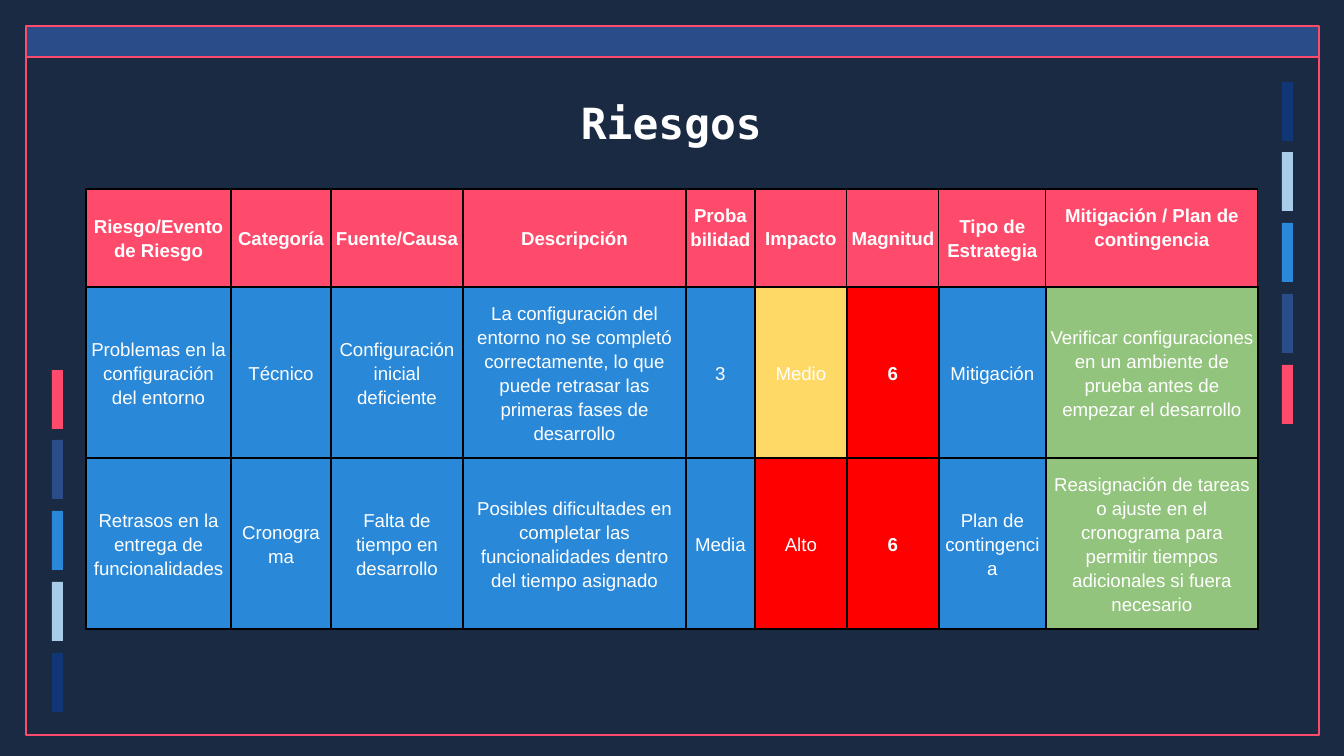
from dataclasses import dataclass
from typing import NamedTuple

from lxml import etree
from pptx import Presentation
from pptx.dml.color import RGBColor
from pptx.enum.shapes import MSO_SHAPE
from pptx.enum.text import MSO_ANCHOR, PP_ALIGN
from pptx.oxml.ns import qn
from pptx.util import Pt

RECT = MSO_SHAPE.RECTANGLE
MIDDLE = MSO_ANCHOR.MIDDLE
CENTER = PP_ALIGN.CENTER
TITLE_ONLY = 5
SCALE = 914400 / 134.4  # EMU per px


@dataclass(frozen=True)
class Theme:
    night: str = "1A2A42"
    navy: str = "103675"
    royal: str = "2A4C89"
    blue: str = "2A88D8"
    pale: str = "A9CCEA"
    pink: str = "FE4A6B"
    white: str = "FFFFFF"
    black: str = "000000"
    amber: str = "FFD966"
    red: str = "FF0000"
    green: str = "93C47D"
    mono: str = "DejaVu Sans Mono"
    sans: str = "Arial"
    head: float = 23
    body: float = 10
    line: float = 0.75
    thin: float = 0.83
    thick: float = 1.13


class Box(NamedTuple):
    left: int
    top: int
    width: int
    height: int


class Stack(NamedTuple):
    left: int
    top: int
    fills: tuple


class Cell(NamedTuple):
    text: str
    fill: str
    bold: bool = False
    low: int = 13  # bottom inset in px


T = Theme()

# Decoration: frame, band and the two columns of bars
FRAME = Box(26, 51, 1293, 684)
BAND = Box(26, 26, 1293, 31)
BAR_W, BAR_H = 11, 59
HUES = (T.pink, T.royal, T.blue, T.pale, T.navy)
STACKS = (Stack(1282, 82, HUES[::-1]), Stack(52, 370, HUES))

# Table content
GRID = Box(86, 189, 1172, 440)
COLS = (145, 100, 132, 223, 69, 92, 92, 107, 212)
ROWS = (98, 171, 171)
RAISED = 36
HEADS = ("Riesgo/Evento de Riesgo", "Categoría", "Fuente/Causa",
         "Descripción", "Probabilidad", "Impacto", "Magnitud",
         "Tipo de Estrategia", "Mitigación / Plan de contingencia")
HIGH = ("Probabilidad", "Mitigación / Plan de contingencia")
RISKS = (
    ("Problemas en la configuración del entorno", "Técnico",
     "Configuración inicial deficiente",
     "La configuración del entorno no se completó correctamente, "
     "lo que puede retrasar las primeras fases de desarrollo",
     "3", "Medio", "6", "Mitigación",
     "Verificar configuraciones en un ambiente de prueba antes de "
     "empezar el desarrollo"),
    ("Retrasos en la entrega de funcionalidades", "Cronograma",
     "Falta de tiempo en desarrollo",
     "Posibles dificultades en completar las funcionalidades dentro "
     "del tiempo asignado",
     "Media", "Alto", "6", "Plan de contingencia",
     "Reasignación de tareas o ajuste en el cronograma para permitir "
     "tiempos adicionales si fuera necesario"),
)
LEVELS = {"Medio": T.amber, "Alto": T.red, "6": T.red}


def px(size: int) -> int:
    return round(size * SCALE)


def rgb(tone: str) -> RGBColor:
    return RGBColor.from_string(tone)


def assign(item, values: dict) -> None:
    for name, value in values.items():
        setattr(item, name, value)


def place(box: Box) -> dict:
    return {name: px(size) for name, size in box._asdict().items()}


def write(frame, text: str, size: float, face: str, bold: bool) -> None:
    par = frame.paragraphs[0]
    par.alignment = CENTER
    run = par.add_run()
    run.text = text
    assign(run.font, {"size": Pt(size), "name": face, "bold": bold})
    run.font.color.rgb = rgb(T.white)


def block(slide, box: Box, fill: str, edge: str = "") -> None:
    shape = slide.shapes.add_shape(RECT, *place(box).values())
    shape.shadow.inherit = False
    shape.fill.solid()
    shape.fill.fore_color.rgb = rgb(fill)
    if edge:
        shape.line.color.rgb = rgb(edge)
        shape.line.width = Pt(T.line)
    else:
        shape.line.fill.background()


def stack(slide, bars: Stack) -> None:
    for i, fill in enumerate(bars.fills):
        top = bars.top + i * 283 // 4
        block(slide, Box(bars.left, top, BAR_W, BAR_H), fill)


def border(cell, widths: dict) -> None:
    props = cell._tc.get_or_add_tcPr()
    for side, width in widths.items():
        line = etree.SubElement(props, qn("a:ln" + side), w=str(Pt(width)))
        fill = etree.SubElement(line, qn("a:solidFill"))
        etree.SubElement(fill, qn("a:srgbClr"), val=T.black)


def paint(cell, data: Cell, side: float) -> None:
    assign(cell, {"vertical_anchor": MIDDLE,
                  "margin_left": px(4), "margin_right": px(4),
                  "margin_top": px(13), "margin_bottom": px(data.low)})
    border(cell, {"L": side, "R": side, "T": side, "B": T.thick})
    cell.fill.solid()
    cell.fill.fore_color.rgb = rgb(data.fill)
    write(cell.text_frame, data.text, T.body, T.sans, data.bold)
    cell.text_frame.paragraphs[0].line_spacing = 1.15


def risk(texts: tuple) -> list[Cell]:
    cells = [Cell(text, T.blue) for text in texts[:5]]
    cells += [Cell(text, LEVELS[text], text == "6") for text in texts[5:7]]
    return cells + [Cell(texts[7], T.blue), Cell(texts[8], T.green)]


def matrix(slide) -> None:
    heads = [Cell(text, T.pink, True, RAISED if text in HIGH else 13)
             for text in HEADS]
    rows = [heads] + [risk(texts) for texts in RISKS]
    table = slide.shapes.add_table(
        len(ROWS), len(COLS), *place(GRID).values()).table
    assign(table, {"first_row": False, "horz_banding": False})
    for col, width in zip(table.columns, COLS):
        col.width = px(width)
    for r, (row, height) in enumerate(zip(table.rows, ROWS)):
        row.height = px(height)
        for cell, data in zip(row.cells, rows[r]):
            paint(cell, data, T.thick if r else T.thin)


def heading(slide) -> None:
    title = slide.shapes.title
    assign(title, place(Box(308, 56, 727, 133)))
    assign(title.text_frame, {"vertical_anchor": MIDDLE, "word_wrap": True,
                              "margin_left": px(13), "margin_right": px(13),
                              "margin_top": px(13), "margin_bottom": px(13)})
    write(title.text_frame, "Riesgos", T.head, T.mono, True)


def main() -> None:
    deck = Presentation()
    assign(deck, {"slide_width": px(1344), "slide_height": px(756)})
    slide = deck.slides.add_slide(deck.slide_layouts[TITLE_ONLY])
    back = slide.background.fill
    back.solid()
    back.fore_color.rgb = rgb(T.night)

    # Decoration
    block(slide, FRAME, T.night, T.pink)
    block(slide, BAND, T.royal, T.pink)
    for bars in STACKS:
        stack(slide, bars)

    # Title, lifted above the frame
    heading(slide)
    slide.shapes._spTree.append(slide.shapes.title._element)

    # Risk table
    matrix(slide)
    deck.save("out.pptx")


if __name__ == "__main__":
    main()
